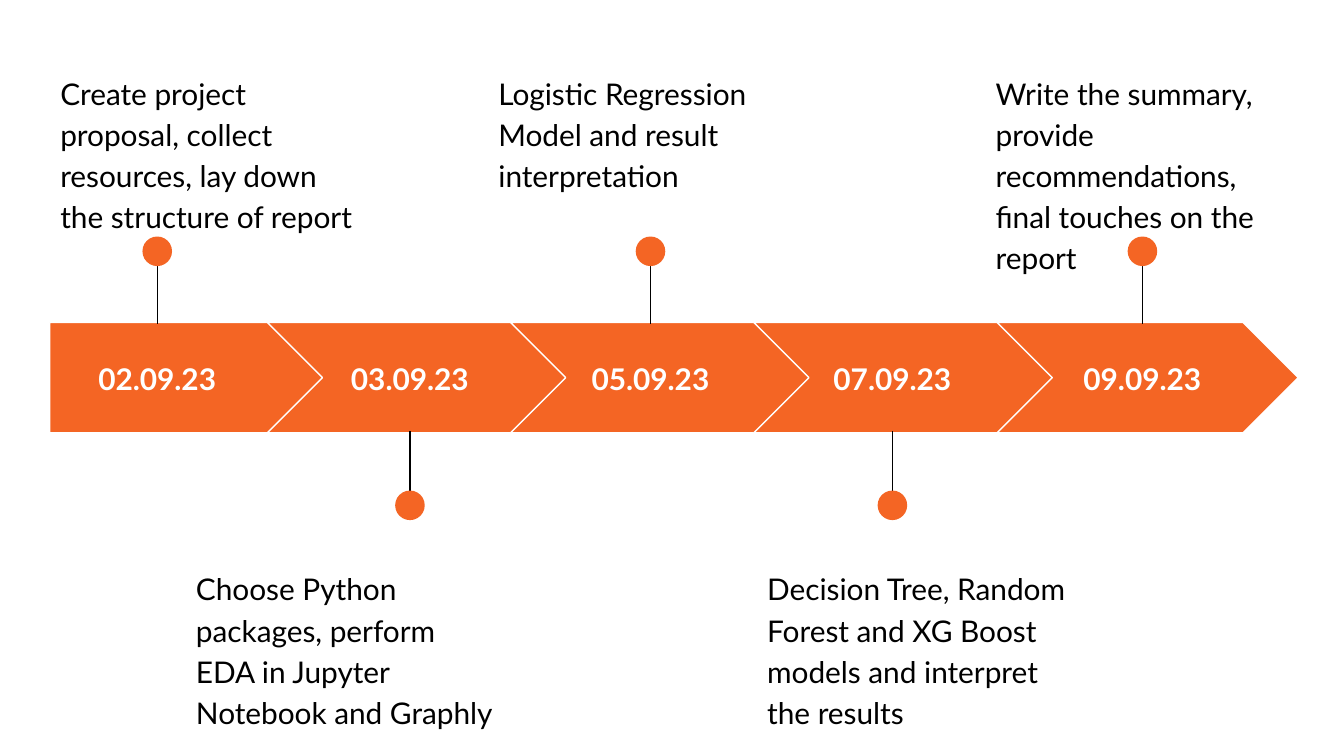
"""Build a five-step project timeline slide."""
from pptx import Presentation
from pptx.dml.color import RGBColor
from pptx.enum.shapes import MSO_CONNECTOR as Line, MSO_SHAPE as Kind
from pptx.enum.text import MSO_ANCHOR as Anchor, PP_ALIGN as Align
from pptx.util import Inches, Pt
from lxml import etree

ORANGE, WHITE, BLACK = "F46524", "FFFFFF", "000000"
NS = "http://schemas.openxmlformats.org/drawingml/2006/main"


def tint(code):
    return RGBColor.from_string(code)


def write(text, box, color, bold, align, anchor, space, after):
    area = slide.shapes.add_textbox(*map(Inches, box))
    frame = area.text_frame
    para = frame.paragraphs[0]
    run = para.add_run()
    run.text = text
    run.font.color.rgb = tint(color)
    inset = Inches(0.1)
    for part, look in (
        (frame, {"word_wrap": True, "vertical_anchor": anchor,
                 "margin_left": inset, "margin_right": inset,
                 "margin_top": inset, "margin_bottom": inset}),
        (para, {"alignment": align, "line_spacing": space,
                "space_after": Pt(after)}),
        (run.font, {"name": "Lato", "size": Pt(16), "bold": bold}),
    ):
        for key, value in look.items():
            setattr(part, key, value)


deck = Presentation()
deck.slide_width = Inches(10)
deck.slide_height = Inches(10 * 9 / 16)
slide = deck.slides.add_slide(deck.slide_layouts[6])

steps = [
    ("02.09.23", 1.17, 0.35,
     "Create project proposal, collect resources, lay down the structure of report"),
    ("03.09.23", 3.05, 1.36,
     "Choose Python packages, perform EDA in Jupyter Notebook and Graphly"),
    ("05.09.23", 4.84, 3.61,
     "Logistic Regression Model and result interpretation"),
    ("07.09.23", 6.64, 5.61,
     "Decision Tree, Random Forest and XG Boost models and interpret the results"),
    ("09.09.23", 8.5, 7.31,
     "Write the summary, provide recommendations, final touches on the report"),
]
pitch, dot = 1.81, 0.22

for i, (date, mid, left, note) in enumerate(steps):
    if i == 0:
        kind, start, wide, span = Kind.PENTAGON, 0.37, 2.05, 1.59
    else:
        kind, start, wide, span = Kind.CHEVRON, 1.99 + pitch * (i - 1), 2.24, 1.44
    if i % 2 == 0:
        far, near, top, high = 1.8, 2.41, 1.76, 0.42
    else:
        far, near, top, high = 3.82, 3.21, 3.65, 4.11

    arrow = slide.shapes.add_shape(
        kind, Inches(start), Inches(2.4), Inches(wide), Inches(0.82))
    arrow.adjustments[0] = 0.5
    arrow.line.color.rgb = tint(WHITE)
    arrow.line.width = Pt(0.75)
    write(date, (mid - span / 2, 2.56, span, 0.51), WHITE, True,
          Align.CENTER, Anchor.MIDDLE, 1.0, 0)

    stem = slide.shapes.add_connector(
        Line.STRAIGHT, Inches(mid), Inches(far), Inches(mid), Inches(near))
    stem.line.color.rgb = tint(BLACK)
    stem.line.width = Pt(0.75)
    etree.SubElement(stem._element.spPr, f"{{{NS}}}effectLst")

    knob = slide.shapes.add_shape(
        Kind.OVAL, Inches(mid - dot / 2), Inches(top), Inches(dot), Inches(dot))
    knob.line.fill.background()
    for shape in (arrow, knob):
        shape.shadow.inherit = False
        shape.fill.solid()
        shape.fill.fore_color.rgb = tint(ORANGE)

    write(note, (left, high, 2.45, 0.99), BLACK, False,
          Align.LEFT, Anchor.TOP, 1.15, 16)

deck.save("out.pptx")
